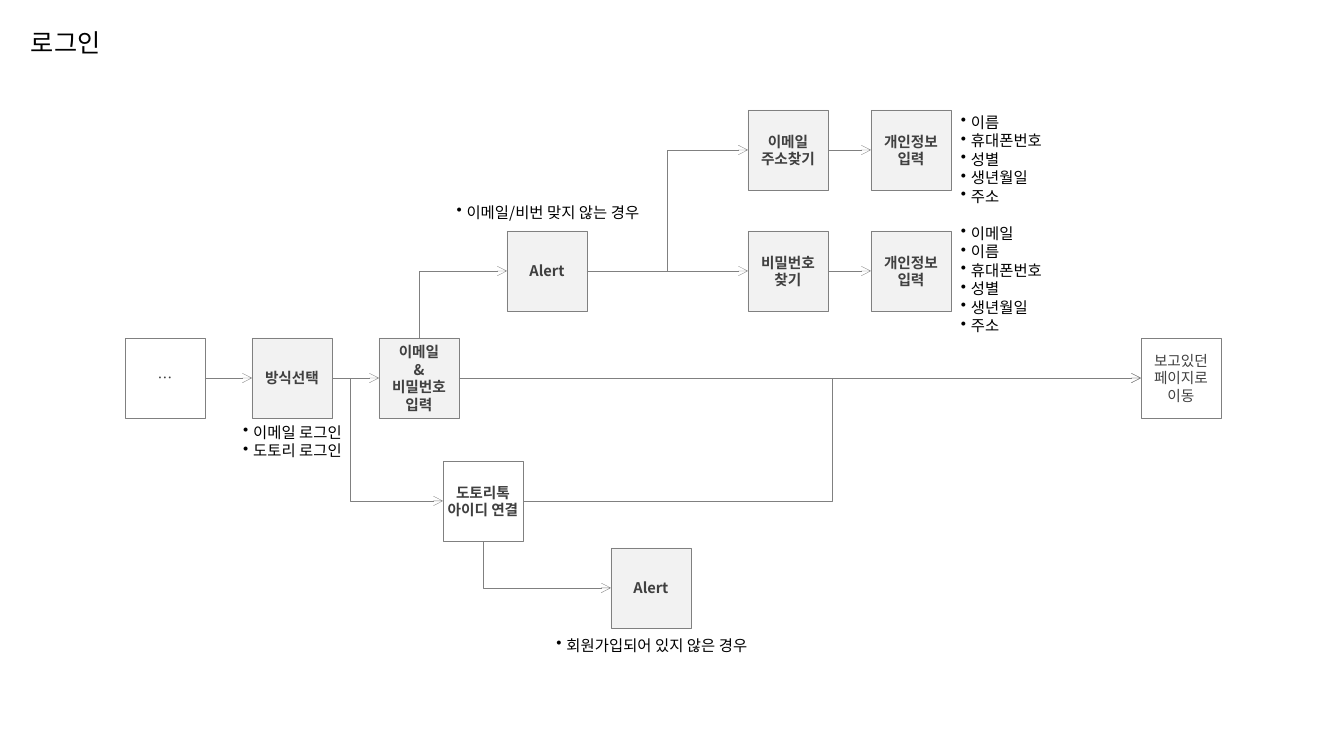
from lxml import etree
from pptx import Presentation
from pptx import util as u
from pptx.dml.color import RGBColor
from pptx.enum import shapes, text
from pptx.oxml.ns import qn

TOP, LEFT, BOTTOM, RIGHT = range(4)
BOX = 80


def px(n):
    return u.Emu(round(n * 914400 / 100.8))


def color(value):
    return RGBColor.from_string(value)


class FlowSlide:
    font = "Noto Sans CJK KR"
    line = "808080"
    gray, white = "F2F2F2", "FFFFFF"
    label, ink = "404040", "000000"

    def __init__(self, slide):
        self.slide = slide

    def set_lines(self, frame, lines, size, ink, bold=False, align=None, bullet=False):
        frame.word_wrap = True
        frame.text = "\n".join(lines)
        for paragraph in frame.paragraphs:
            paragraph.alignment = align
            paragraph.line_spacing = u.Pt(size * 1.2)
            if bullet:
                props = paragraph._p.get_or_add_pPr()
                props.set("marL", str(px(10)))
                props.set("indent", str(-px(10)))
                etree.SubElement(props, qn("a:buChar")).set("char", "•")
            for run in paragraph.runs:
                run.font.size = u.Pt(size)
                run.font.bold = bold
                run.font.color.rgb = color(ink)
                run.font.name = self.font
                east_asian = etree.SubElement(run._r.get_or_add_rPr(), qn("a:ea"))
                east_asian.set("typeface", self.font)

    def title(self, x, y, w, h, words):
        area = self.slide.shapes.add_textbox(px(x), px(y), px(w), px(h))
        self.set_lines(area.text_frame, [words], 18, self.ink)

    def notes(self, x, y, w, h, lines, align=None):
        area = self.slide.shapes.add_textbox(px(x), px(y), px(w), px(h))
        self.set_lines(area.text_frame, lines, 11, self.ink, align=align, bullet=True)

    def step(self, x, y, lines, fill=gray, bold=True):
        box = self.slide.shapes.add_shape(
            shapes.MSO_SHAPE.RECTANGLE, px(x), px(y), px(BOX), px(BOX))
        box.shadow.inherit = False
        box.fill.solid()
        box.fill.fore_color.rgb = color(fill)
        box.line.color.rgb = color(self.line)
        box.line.width = u.Pt(0.25)
        frame = box.text_frame
        frame.margin_left = frame.margin_right = 0
        frame.margin_top = frame.margin_bottom = 0
        frame.vertical_anchor = text.MSO_ANCHOR.MIDDLE
        self.set_lines(frame, lines, 10.5, self.label, bold, text.PP_ALIGN.CENTER)
        return box

    def connect(self, kind, start, start_side, end, end_side, arrow="tailEnd"):
        def point(box, side):
            dx, dy = ((1, 0), (0, 1), (1, 2), (2, 1))[side]
            return box.left + box.width * dx // 2, box.top + box.height * dy // 2

        link = self.slide.shapes.add_connector(
            kind, *point(start, start_side), *point(end, end_side))
        link.begin_connect(start, start_side)
        link.end_connect(end, end_side)
        link.line.color.rgb = color(self.line)
        link.line.width = u.Pt(0.25)
        etree.SubElement(link.get_or_add_ln(), qn("a:" + arrow)).set("type", "arrow")
        props = link._element.spPr
        etree.SubElement(props, qn("a:effectLst"))
        return props.find(qn("a:prstGeom"))

    def straight(self, start, end):
        self.connect(shapes.MSO_CONNECTOR.STRAIGHT, start, RIGHT, end, LEFT)

    def elbow(self, start, end, bend=0.5):
        geometry = self.connect(shapes.MSO_CONNECTOR.ELBOW, start, RIGHT, end, LEFT)
        guide = etree.SubElement(geometry.find(qn("a:avLst")), qn("a:gd"))
        guide.set("name", "adj1")
        guide.set("fmla", f"val {round(bend * 100000)}")

    def corner(self, start, side, end):
        # Runs from the target back to the start, so the arrow is at its head
        geometry = self.connect(
            shapes.MSO_CONNECTOR.ELBOW, end, LEFT, start, side, "headEnd")
        geometry.set("prst", "bentConnector2")


def main():
    deck = Presentation()
    deck.slide_width, deck.slide_height = px(1344), px(756)
    flow = FlowSlide(deck.slides.add_slide(deck.slide_layouts[6]))
    center = text.PP_ALIGN.CENTER

    flow.title(21, 22, 1287, 40, "로그인")

    # Main row
    main_y, find_email_y, find_password_y = 338, 110, 231
    before = flow.step(125, main_y, ["…"], flow.white, False)
    method = flow.step(252, main_y, ["방식선택"])
    credentials = flow.step(379, main_y, ["이메일", "&", "비밀번호", "입력"])
    return_page = flow.step(
        1141, main_y, ["보고있던", "페이지로", "이동"], flow.white, False)

    # Messenger login
    messenger = flow.step(443, 461, ["도토리톡", "아이디 연결"], flow.white)
    not_member = flow.step(611, 548, ["Alert"])

    # Account recovery
    mismatch = flow.step(507, find_password_y, ["Alert"])
    find_email = flow.step(748, find_email_y, ["이메일", "주소찾기"])
    find_password = flow.step(748, find_password_y, ["비밀번호", "찾기"])
    email_info, password_info = [
        flow.step(871, y, ["개인정보", "입력"])
        for y in (find_email_y, find_password_y)]

    # Arrows
    for start, end in ((before, method), (method, credentials),
                       (credentials, return_page), (mismatch, find_password),
                       (find_email, email_info), (find_password, password_info)):
        flow.straight(start, end)
    flow.elbow(method, messenger, 0.16)
    flow.elbow(messenger, return_page)
    flow.elbow(mismatch, find_email)
    flow.corner(credentials, TOP, mismatch)
    flow.corner(messenger, BOTTOM, not_member)

    # Notes beside the steps
    personal = ["이름", "휴대폰번호", "성별", "생년월일", "주소"]
    flow.notes(951, 108, 111, 104, personal)
    flow.notes(951, 219, 111, 122, ["이메일"] + personal)
    flow.notes(225, 418, 135, 47, ["이메일 로그인", "도토리 로그인"], center)
    flow.notes(432, 198, 232, 29, ["이메일/비번 맞지 않는 경우"], center)
    flow.notes(536, 631, 232, 29, ["회원가입되어 있지 않은 경우"], center)

    deck.save("out.pptx")


if __name__ == "__main__":
    main()
